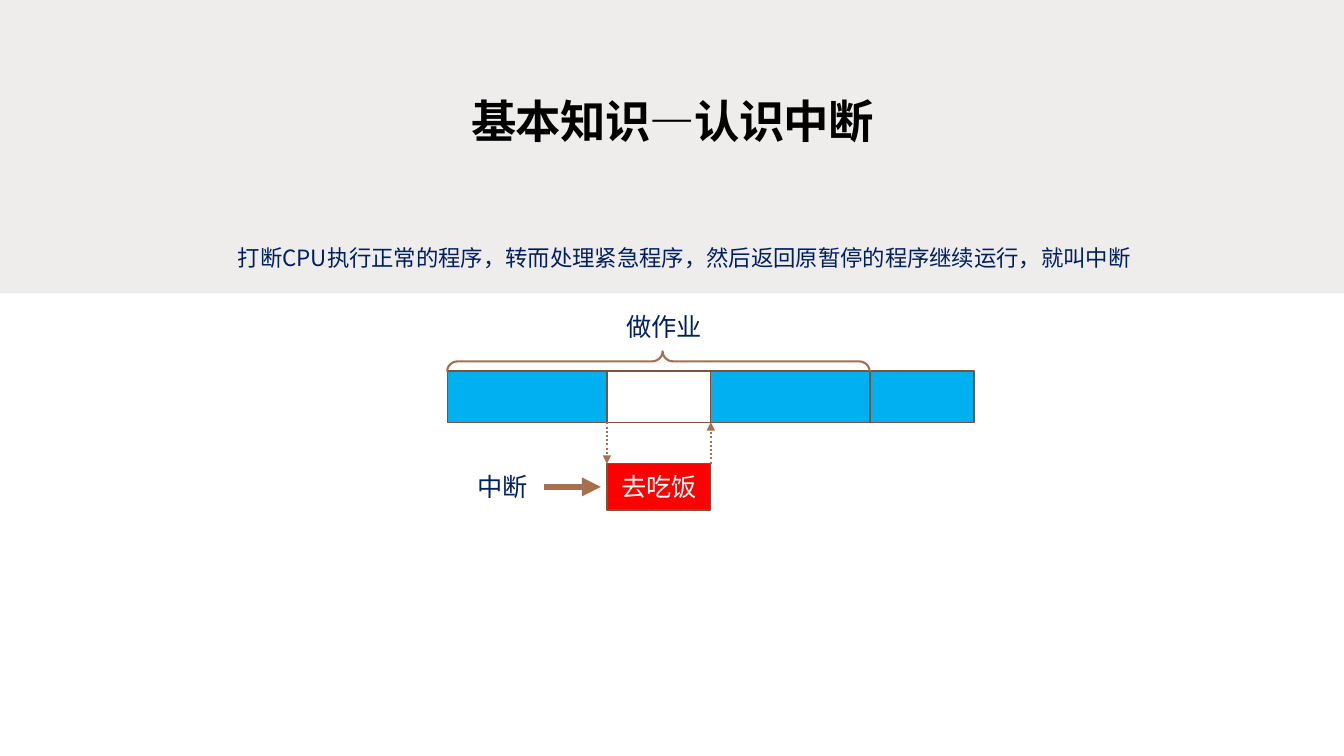
from dataclasses import dataclass
from typing import Optional

from lxml import etree
from pptx import Presentation
from pptx.dml.color import RGBColor
from pptx.enum.dml import MSO_LINE
from pptx.enum.shapes import MSO_CONNECTOR, MSO_SHAPE
from pptx.enum.text import MSO_ANCHOR, PP_ALIGN
from pptx.oxml.ns import qn
from pptx.util import Emu, Pt

PX = 9144  # EMU; 100 px to the inch

RECT, BRACE = MSO_SHAPE.RECTANGLE, MSO_SHAPE.RIGHT_BRACE
STRAIGHT = MSO_CONNECTOR.STRAIGHT
DOTTED = MSO_LINE.ROUND_DOT
LEFT, CENTER = PP_ALIGN.LEFT, PP_ALIGN.CENTER
TOP, MIDDLE = MSO_ANCHOR.TOP, MSO_ANCHOR.MIDDLE

BAND = RGBColor(0xEF, 0xED, 0xEC)
BLACK = RGBColor(0x00, 0x00, 0x00)
WHITE = RGBColor(0xFF, 0xFF, 0xFF)
NAVY = RGBColor(0x00, 0x20, 0x60)
RED = RGBColor(0xFF, 0x00, 0x00)
BLUE = RGBColor(0x00, 0xB0, 0xF0)
BROWN = RGBColor(0xA6, 0x6F, 0x4F)
DARK_BROWN = RGBColor(0x7B, 0x52, 0x3A)

CJK = "Noto Sans CJK SC"

# Timeline geometry
BAR_X, BAR_Y, BAR_W, BAR_H = 444, 368, 419, 51
BREAK_X, BREAK_W = 602, 103
BREAK_Y, BREAK_H = 460, 46
BRACE_H = 20


@dataclass
class Block:
    x: int
    y: int
    w: int
    h: int
    fill: RGBColor
    line: Optional[RGBColor] = DARK_BROWN


@dataclass
class Label:
    x: int
    y: int
    w: int
    h: int
    text: str
    size: float = 18
    color: RGBColor = NAVY
    align: PP_ALIGN = CENTER
    anchor: MSO_ANCHOR = TOP
    bold: bool = False
    spacing: float = 1.0


@dataclass
class Arrow:
    x1: int
    y1: int
    x2: int
    y2: int
    width: float = 1.5
    dash: Optional[MSO_LINE] = DOTTED


BLOCKS = [
    Block(0, 0, 1333, 291, BAND, None),
    Block(BAR_X, BAR_Y, BAR_W, BAR_H, BLUE),
    Block(BREAK_X, BAR_Y, BREAK_W, BAR_H, WHITE),
    Block(BAR_X + BAR_W, BAR_Y, BREAK_W, BAR_H, BLUE),
]
MEAL = Block(BREAK_X, BREAK_Y, BREAK_W, BREAK_H, RED)
LABELS = [
    Label(67, 85, 1200, 69, "基本知识—认识中断", 32.4, BLACK,
          anchor=MIDDLE, bold=True),
    Label(226, 224, 918, 46,
          "打断CPU执行正常的程序，转而处理紧急程序，然后返回原暂停的程序继续运行，就叫中断",
          16, align=LEFT, spacing=1.5),
    Label(607, 304, 103, 40, "做作业"),
    Label(464, 463, 77, 40, "中断", align=LEFT),
]
BAR_BOTTOM, BREAK_RIGHT = BAR_Y + BAR_H, BREAK_X + BREAK_W
ARROWS = [
    Arrow(BREAK_X, BAR_BOTTOM, BREAK_X, BREAK_Y),
    Arrow(BREAK_RIGHT, BREAK_Y, BREAK_RIGHT, BAR_BOTTOM),
    Arrow(540, 483, 596, 483, 4.5, None),
]


def px(*lengths: int) -> list[Emu]:
    return [Emu(n * PX) for n in lengths]


def write_text(s, text: str, size: float, color: RGBColor,
               align: PP_ALIGN = CENTER, font: str = CJK,
               bold: bool = False):
    """Put one run in the shape and return its paragraph and run."""
    p = s.text_frame.paragraphs[0]
    p.alignment = align
    r = p.add_run()
    r.text = text
    formats = {"name": font, "size": Pt(size), "bold": bold}
    for name, value in formats.items():
        setattr(r.font, name, value)
    r.font.color.rgb = color
    ea = etree.SubElement(r.font._element, qn("a:ea"))
    ea.set("typeface", CJK)
    return p, r


def add_block(slide, block: Block):
    s = slide.shapes.add_shape(RECT, *px(block.x, block.y, block.w, block.h))
    s.shadow.inherit = False
    s.fill.solid()
    s.fill.fore_color.rgb = block.fill
    if block.line is None:
        s.line.fill.background()
    else:
        s.line.color.rgb = block.line
        s.line.width = Pt(1)
    return s


def add_label(slide, label: Label) -> None:
    s = slide.shapes.add_textbox(*px(label.x, label.y, label.w, label.h))
    tf = s.text_frame
    tf.word_wrap = False
    tf.vertical_anchor = label.anchor
    p, r = write_text(s, label.text, label.size, label.color,
                      label.align, bold=label.bold)
    p.line_spacing = label.spacing
    if label.bold:
        r.font._element.set("spc", "-50")


def add_brace(slide) -> None:
    """Turn a right brace so that it spans the top of the bar."""
    x = BAR_X + (BAR_W - BRACE_H) // 2
    y = BAR_Y - (BAR_W + BRACE_H) // 2
    s = slide.shapes.add_shape(BRACE, *px(x, y, BRACE_H, BAR_W))
    s.rotation = 270
    s.adjustments[0], s.adjustments[1] = 0.52, 0.51
    s.shadow.inherit = False
    s.fill.background()
    s.line.color.rgb = BROWN
    s.line.width = Pt(1.5)


def add_arrow(slide, arrow: Arrow) -> None:
    s = slide.shapes.add_connector(
        STRAIGHT, *px(arrow.x1, arrow.y1, arrow.x2, arrow.y2))
    s.line.color.rgb = BROWN
    s.line.width = Pt(arrow.width)
    if arrow.dash is not None:
        s.line.dash_style = arrow.dash
    sp = s._element.spPr
    etree.SubElement(sp.find(qn("a:ln")), qn("a:tailEnd")).set("type", "triangle")
    etree.SubElement(sp, qn("a:effectLst"))


def main() -> None:
    prs = Presentation()
    prs.slide_width, prs.slide_height = px(1333, 750)
    slide = prs.slides.add_slide(prs.slide_layouts[6])
    meal = add_block(slide, MEAL)
    meal.text_frame.vertical_anchor = MIDDLE
    write_text(meal, "去吃饭", 18, WHITE, font="Arial")
    for block in BLOCKS:
        add_block(slide, block)
    add_brace(slide)
    for label in LABELS:
        add_label(slide, label)
    for arrow in ARROWS:
        add_arrow(slide, arrow)
    prs.save("out.pptx")


if __name__ == "__main__":
    main()
